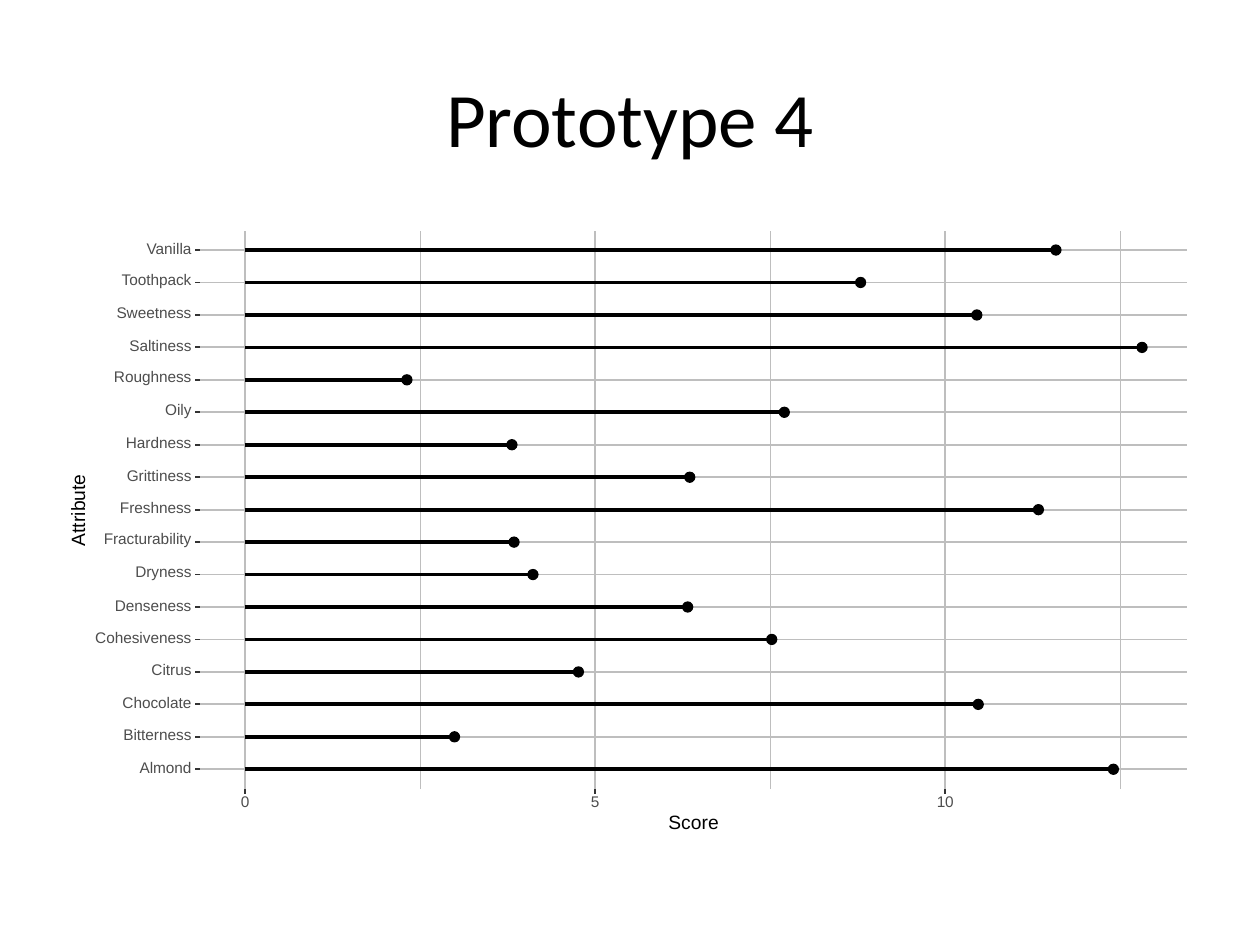
import pptx
import pptx.dml.color
import pptx.enum.shapes
import pptx.enum.text
import pptx.oxml.ns
import pptx.util
from lxml import etree
from pptx.util import Inches

RGBColor = pptx.dml.color.RGBColor
ALIGN = pptx.enum.text.PP_ALIGN
SHAPE = pptx.enum.shapes.MSO_SHAPE

WHITE = RGBColor(0xFF, 0xFF, 0xFF)
BLACK = RGBColor(0x00, 0x00, 0x00)
GRID_GRAY = RGBColor(0xBE, 0xBE, 0xBE)
TICK_GRAY = RGBColor(0x33, 0x33, 0x33)
LABEL_GRAY = RGBColor(0x4D, 0x4D, 0x4D)

# Attributes from top to bottom
SCORES = {
    "Vanilla": 11.58, "Toothpack": 8.79, "Sweetness": 10.45,
    "Saltiness": 12.81, "Roughness": 2.31, "Oily": 7.70,
    "Hardness": 3.81, "Grittiness": 6.35, "Freshness": 11.33,
    "Fracturability": 3.84, "Dryness": 4.11, "Denseness": 6.32,
    "Cohesiveness": 7.52, "Citrus": 4.76, "Chocolate": 10.47,
    "Bitterness": 2.99, "Almond": 12.40,
}
MAJOR_SCORES = (0, 5, 10)
MINOR_SCORES = (2.5, 7.5, 12.5)
TICK_LENGTH = 0.04
DOT_SIZE = 0.08


def add_line(slide, x1, y1, x2, y2, color, width):
    line = slide.shapes.add_connector(
        pptx.enum.shapes.MSO_CONNECTOR.STRAIGHT,
        Inches(x1), Inches(y1), Inches(x2), Inches(y2))
    line.line.color.rgb = color
    line.line.width = pptx.util.Pt(width)
    properties = line._element.spPr
    etree.SubElement(properties, pptx.oxml.ns.qn("a:effectLst"))


def add_solid(slide, kind, left, top, width, height, color, line_width):
    shape = slide.shapes.add_shape(
        kind, Inches(left), Inches(top), Inches(width), Inches(height))
    shape.shadow.inherit = False
    shape.fill.solid()
    shape.fill.fore_color.rgb = color
    shape.line.color.rgb = color
    shape.line.width = pptx.util.Pt(line_width)


def add_label(slide, text, left, top, width, height, size, color, align):
    box = slide.shapes.add_textbox(
        Inches(left), Inches(top), Inches(width), Inches(height))
    frame = box.text_frame
    frame.word_wrap = True
    frame.vertical_anchor = pptx.enum.text.MSO_ANCHOR.MIDDLE
    frame.margin_left = frame.margin_right = 0
    frame.margin_top = frame.margin_bottom = 0
    paragraph = frame.paragraphs[0]
    paragraph.alignment = align
    paragraph.line_spacing = pptx.util.Pt(size)
    run = paragraph.add_run()
    run.text = text
    run.font.name = "Arial"
    run.font.size = pptx.util.Pt(size)
    run.font.color.rgb = color
    return box


def add_title(slide, text, left, top, width, height):
    box = slide.shapes.add_textbox(
        Inches(left), Inches(top), Inches(width), Inches(height))
    frame = box.text_frame
    frame.word_wrap = True
    frame.vertical_anchor = pptx.enum.text.MSO_ANCHOR.MIDDLE
    paragraph = frame.paragraphs[0]
    paragraph.alignment = ALIGN.CENTER
    run = paragraph.add_run()
    run.text = text
    run.font.name = "Calibri"
    run.font.size = pptx.util.Pt(44)
    run.font.color.rgb = BLACK


def add_lollipop_plot(slide, left, top, width, height):
    add_solid(slide, SHAPE.RECTANGLE, left, top, width, height, WHITE, 0.75)

    # Panel inside the plot, with 5 % of the score range free at each side
    # and 0.6 of a row free above and below
    panel_left, panel_right = left + 1.09, left + width - 0.08
    panel_top, panel_bottom = top + 0.08, top + height - 0.44
    unit = (panel_right - panel_left) / (1.1 * max(SCORES.values()))
    origin = panel_left + 0.05 * max(SCORES.values()) * unit
    row_gap = (panel_bottom - panel_top) / (len(SCORES) + 0.2)
    rows = [(name, score, panel_top + (index + 0.6) * row_gap)
            for index, (name, score) in enumerate(SCORES.items())]

    # Grid
    for score in MINOR_SCORES:
        x = origin + score * unit
        add_line(slide, x, panel_bottom, x, panel_top, GRID_GRAY, 0.53)
    for name, score, y in rows:
        add_line(slide, panel_left, y, panel_right, y, GRID_GRAY, 1.07)
    for score in MAJOR_SCORES:
        x = origin + score * unit
        add_line(slide, x, panel_bottom, x, panel_top, GRID_GRAY, 1.07)

    # Attribute axis, dots and stems
    for name, score, y in rows:
        x = origin + score * unit
        add_solid(slide, SHAPE.OVAL, x - DOT_SIZE / 2, y - DOT_SIZE / 2,
                  DOT_SIZE, DOT_SIZE, BLACK, 0.71)
        add_line(slide, x, y, origin, y, BLACK, 2.13)
        add_line(slide, panel_left - TICK_LENGTH, y, panel_left, y,
                 TICK_GRAY, 1.07)
        # Names with descenders need a taller box that sits higher
        has_descender = any(letter in "gpy" for letter in name)
        rise, label_height = (0.07, 0.11) if has_descender else (0.05, 0.09)
        add_label(slide, name, left + 0.22, y - rise, 0.8, label_height,
                  8.8, LABEL_GRAY, ALIGN.RIGHT)

    # Score axis
    for score in MAJOR_SCORES:
        x = origin + score * unit
        add_line(slide, x, panel_bottom + TICK_LENGTH, x, panel_bottom,
                 TICK_GRAY, 1.07)
        add_label(slide, str(score), x - 0.1, panel_bottom + 0.07, 0.2, 0.09,
                  8.8, LABEL_GRAY, ALIGN.CENTER)

    # Axis titles
    middle_x = (panel_left + panel_right) / 2
    middle_y = (panel_top + panel_bottom) / 2
    add_label(slide, "Score", middle_x - 0.21, panel_bottom + 0.22,
              0.42, 0.11, 11, BLACK, ALIGN.CENTER)
    attribute_title = add_label(
        slide, "Attribute", left + 0.13 - 0.3, middle_y - 0.05,
        0.6, 0.11, 11, BLACK, ALIGN.CENTER)
    attribute_title.rotation = 270


def main():
    presentation = pptx.Presentation()
    presentation.slide_width = Inches(10)
    presentation.slide_height = Inches(7.5)
    slide = presentation.slides.add_slide(presentation.slide_layouts[6])
    add_lollipop_plot(slide, 0.5, 1.75, 9, 4.95)
    add_title(slide, "Prototype 4", 0.5, 0.3, 9, 1.25)
    presentation.save("out.pptx")


if __name__ == "__main__":
    main()
